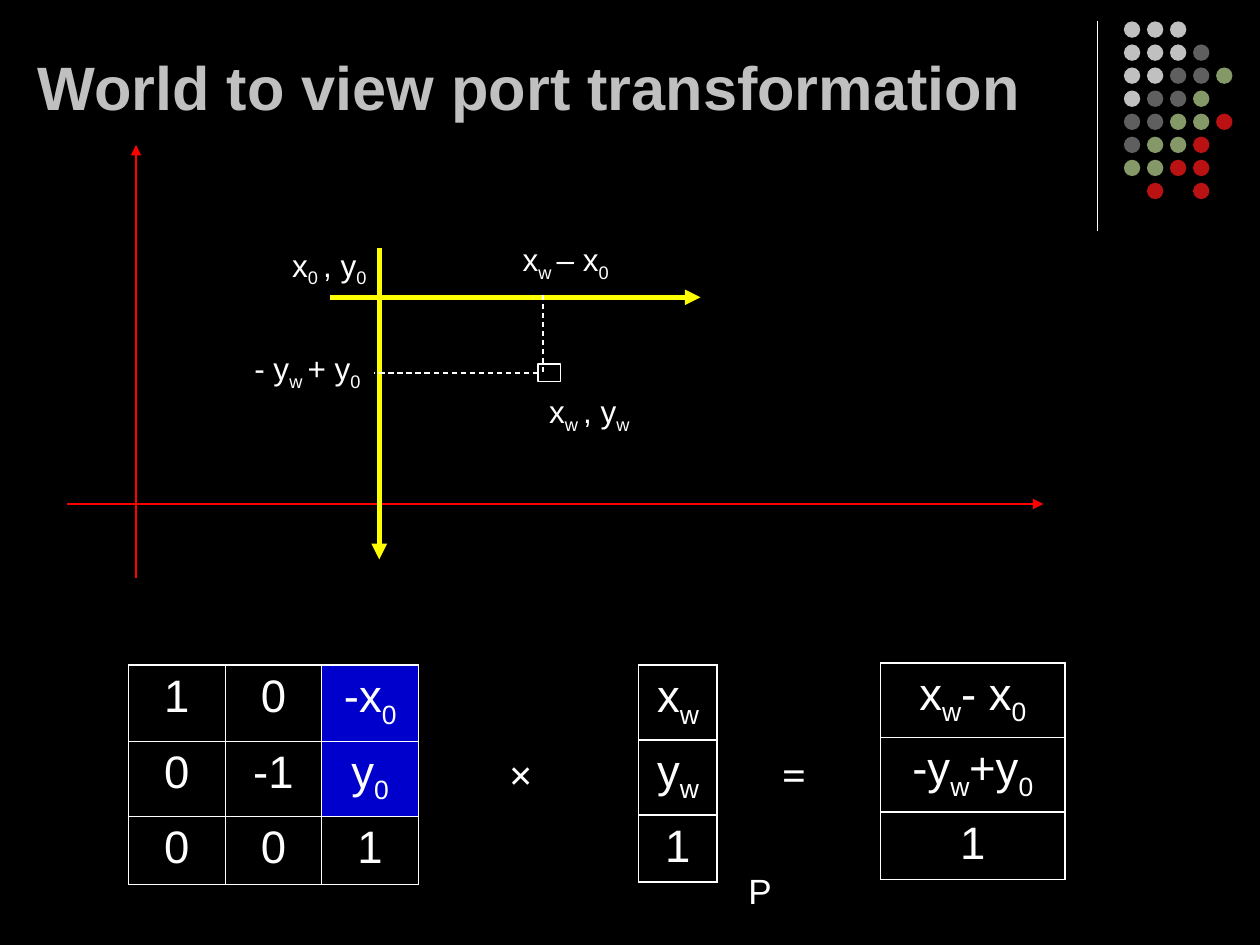
from lxml.etree import SubElement
from pptx import Presentation
from pptx.dml.color import RGBColor
from pptx.enum.dml import MSO_LINE
from pptx.enum.shapes import MSO_CONNECTOR, MSO_SHAPE
from pptx.enum.text import MSO_ANCHOR, MSO_AUTO_SIZE, PP_ALIGN
from pptx.oxml.ns import qn
from pptx.util import Inches, Pt


def paint(fill, color):
    fill.solid()
    fill.fore_color.rgb = RGBColor.from_string(color)


def write(paragraph, text, formats, color="FFFFFF"):
    for index, piece in enumerate(text.split("_")):
        if piece:
            run = paragraph.add_run()
            run.text = piece
            for name, value in formats.items():
                setattr(run.font, name, value)
            paint(run.font.fill, color)
            if index % 2:
                run.font._element.set("baseline", "-25000")


presentation = Presentation()
presentation.slide_width = Inches(10)
presentation.slide_height = Inches(7.5)
column = presentation.slide_width / 100
row = presentation.slide_height / 75
slide = presentation.slides.add_slide(presentation.slide_layouts[6])
shapes = slide.shapes
paint(slide.background.fill, "000000")

dot_colors = {"L": "C0C0C0", "D": "5F5F5F", "G": "859968", "R": "BA1212"}
dot_colors["G"] = "859868"
dot_rows = ["LLL", "LLLD", "LLDDG", "LDDG", "DDGGR", "DGGR", "GGRR", " R R"]
dot_group = shapes.add_group_shape()
for down, dot_row in enumerate(dot_rows):
    for across, key in enumerate(dot_row):
        if key in dot_colors:
            dot = dot_group.shapes.add_shape(
                MSO_SHAPE.OVAL,
                int((89.2 + 1.83 * across) * column), int((1.7 + 1.83 * down) * row),
                int(1.3 * column), int(1.3 * row))
            dot.shadow.inherit = False
            paint(dot.fill, dot_colors[key])
            dot.line.fill.background()

point = shapes.add_shape(MSO_SHAPE.RECTANGLE, int(42.7 * column), int(28.9 * row),
                         int(1.8 * column), int(1.4 * row))
point.shadow.inherit = False
point.fill.background()
paint(point.line.fill, "FFFFFF")
point.line.width = Pt(0.75)

lines = [
    ("divider", 87.1, 1.7, 87.1, 18.3, "FFFFFF", 0.75),
    ("axis", 10.8, 45.9, 10.8, 11.5, "FF0000", 0.75),
    ("axis", 5.3, 40, 82.8, 40, "FF0000", 0.75),
    ("axis", 30.1, 19.7, 30.1, 44.4, "FFFF00", 3),
    ("axis", 26.2, 23.6, 55.6, 23.6, "FFFF00", 3),
    ("projection", 42.7, 29.6, 29.7, 29.6, "FFFFFF", 0.75),
    ("guide", 43.1, 23.4, 43.1, 29.7, "FFFFFF", 0.75),
]
for role, left, top, right, bottom, color, width in lines:
    connector = shapes.add_connector(
        MSO_CONNECTOR.STRAIGHT, int(left * column), int(top * row),
        int(right * column), int(bottom * row))
    paint(connector.line.fill, color)
    connector.line.width = Pt(width)
    if role in ("projection", "guide"):
        connector.line.dash_style = MSO_LINE.DASH
    if role == "projection":
        connector.begin_connect(point, 1)
    properties = connector._element.spPr
    if role == "axis":
        SubElement(properties.find(qn("a:ln")), qn("a:tailEnd"), type="triangle")
    SubElement(properties, qn("a:effectLst"))

title_format = {"name": "Arial", "size": Pt(35), "bold": True}
label_format = {"name": "Arial", "size": Pt(18)}
point_name_format = {"name": "Arial", "size": Pt(20)}
operator_format = {"name": "Times New Roman", "size": Pt(24), "bold": True}
matrix_format = {"name": "Arial", "size": Pt(26)}

texts = [
    ("World to view port transformation", 2, 1.3, 82.5, 8.9, title_format, "C0C0C0"),
    ("x_0 _, y_0", 22.2, 19, 11.2, 4.4, label_format, "FFFFFF"),
    ("x_w _, y_w", 42.6, 30.6, 11.2, 4.4, label_format, "FFFFFF"),
    ("P", 58.4, 68.5, 8.1, 4.4, point_name_format, "FFFFFF"),
    ("×", 39.4, 58.9, 4.5, 5, operator_format, "FFFFFF"),
    ("=", 61.1, 58.9, 4.5, 5, operator_format, "FFFFFF"),
    ("- y_w _+ y_0", 19.2, 27.2, 12.3, 4.4, label_format, "FFFFFF"),
    ("x_w _– x_0", 40.5, 18.6, 12.3, 4.4, label_format, "FFFFFF"),
]
for text, left, top, width, height, formats, color in texts:
    box = shapes.add_textbox(int(left * column), int(top * row),
                             int(width * column), int(height * row))
    frame = box.text_frame
    frame.word_wrap = True
    if formats is title_format:
        frame.vertical_anchor = MSO_ANCHOR.BOTTOM
    else:
        frame.auto_size = MSO_AUTO_SIZE.SHAPE_TO_FIT_TEXT
    write(frame.paragraphs[0], text, formats, color)

matrices = [
    ([["1", "0", "-x_0"], ["0", "-1", "y_0"], ["0", "0", "1"]],
     10.2, 52.8, 7.67, (6, 6, 5.4), 1.08, 0.45),
    ([["x_w"], ["y_w"], ["1"]], 50.7, 52.8, 6.2, (5.9, 5.9, 5.3), 0.45, 1.08),
    ([["x_w_- x_0"], ["-y_w_+y_0"], ["1"]],
     69.9, 52.6, 14.6, (5.9, 5.9, 5.3), 0.45, 1.08),
]
for values, left, top, cell_width, heights, left_edge, inner_edge in matrices:
    last_column = len(values[0]) - 1
    last_row = len(values) - 1
    table = shapes.add_table(
        len(values), len(values[0]), int(left * column), int(top * row),
        int(cell_width * len(values[0]) * column), int(sum(heights) * row)).table
    table.first_row = False
    table.horz_banding = False
    for table_column in table.columns:
        table_column.width = int(cell_width * column)
    for down, cell_values in enumerate(values):
        table.rows[down].height = int(heights[down] * row)
        for across, value in enumerate(cell_values):
            cell = table.cell(down, across)
            paragraph = cell.text_frame.paragraphs[0]
            paragraph.alignment = PP_ALIGN.CENTER
            write(paragraph, value, matrix_format)
            edges = {
                "a:lnL": left_edge if across == 0 else inner_edge,
                "a:lnR": 1.08 if across == last_column else inner_edge,
                "a:lnT": 1.08 if down == 0 else inner_edge,
                "a:lnB": 1.08 if down == last_row else inner_edge,
            }
            properties = cell._tc.get_or_add_tcPr()
            for tag, width in edges.items():
                border = SubElement(properties, qn(tag), w=str(Pt(width)))
                SubElement(SubElement(border, qn("a:solidFill")), qn("a:srgbClr"), val="FFFFFF")
            is_translation = across == last_column > 0 and down < last_row
            paint(cell.fill, "0000CC" if is_translation else "000000")

presentation.save("out.pptx")
